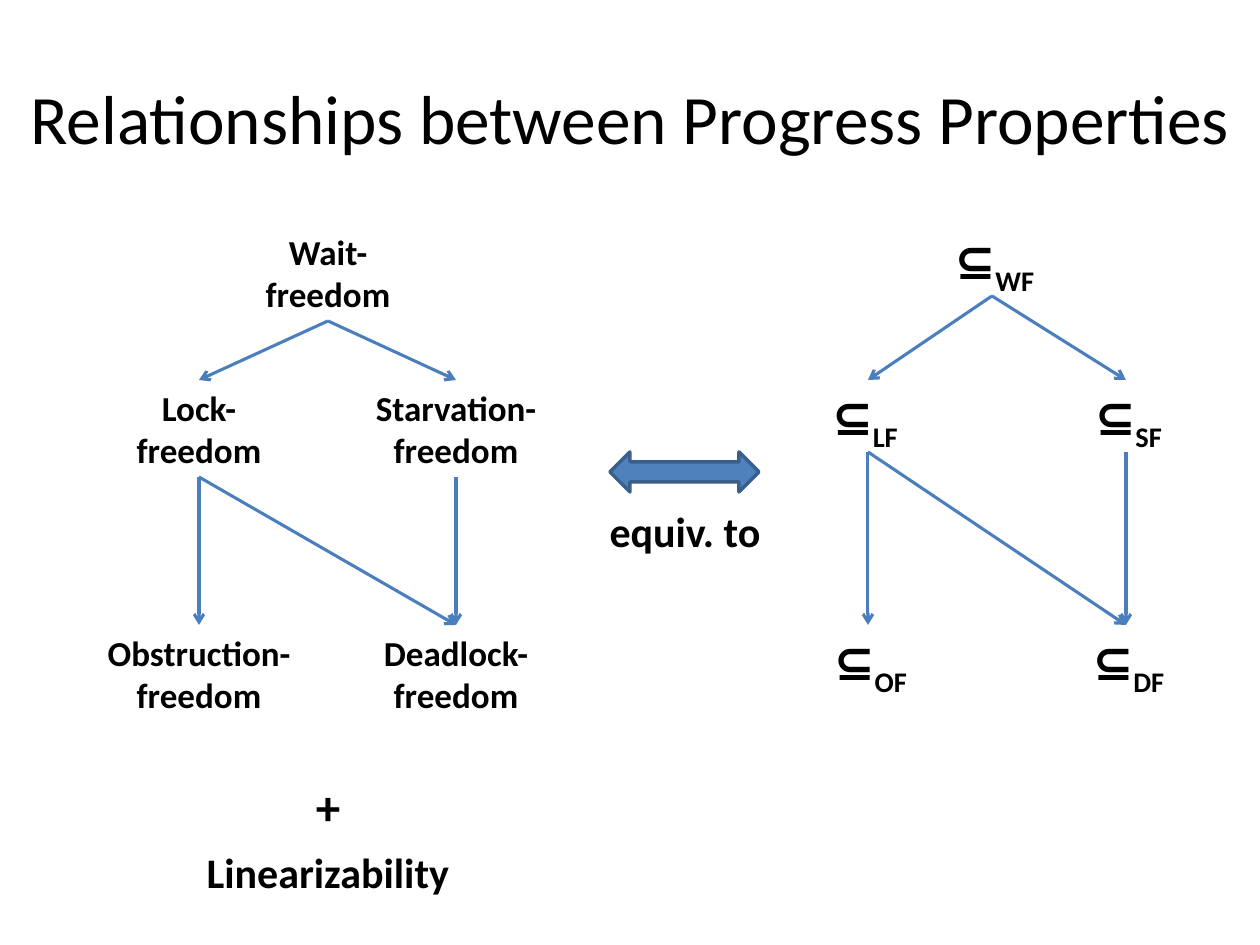
from lxml import etree
from pptx import Presentation
from pptx import util as u
from pptx.dml.color import RGBColor
from pptx.enum import shapes, text
from pptx.oxml import ns

EMU_PER_PIXEL = 914400 // 126
BLACK = RGBColor(0x00, 0x00, 0x00)
ARROW_BLUE = RGBColor(0x4B, 0x7E, 0xBC)
FILL_BLUE = RGBColor(0x4F, 0x81, 0xBD)
OUTLINE_BLUE = RGBColor(0x3A, 0x5F, 0x8C)
SUBSET = "\u2286"


def px(pixels):
    return u.Emu(round(pixels * EMU_PER_PIXEL))


def add_text(paragraph, content, size=20, bold=True, color=BLACK, font="Calibri", baseline=None):
    run = paragraph.add_run()
    run.text = content
    run.font.name = font
    run.font.size = u.Pt(size)
    run.font.bold = bold
    run.font.color.rgb = color
    if baseline is not None:
        run.font._element.set("baseline", str(baseline * 1000))


class SlideBuilder:
    def __init__(self, presentation):
        self.slide = presentation.slides.add_slide(presentation.slide_layouts[6])

    def label(self, center, top, width, height, content, subscript=None,
              anchor=text.MSO_ANCHOR.TOP, **style):
        """Centred text box, placed by its middle axis."""
        shape = self.slide.shapes.add_textbox(
            px(center - width / 2), px(top), px(width), px(height))
        frame = shape.text_frame
        frame.word_wrap = True
        frame.vertical_anchor = anchor
        paragraph = frame.paragraphs[0]
        paragraph.alignment = text.PP_ALIGN.CENTER
        add_text(paragraph, content, **style)
        if subscript:
            add_text(paragraph, subscript, baseline=-25, **style)

    def arrow(self, start, end):
        connector = self.slide.shapes.add_connector(
            shapes.MSO_CONNECTOR.STRAIGHT, *map(px, start + end))
        connector.line.color.rgb = ARROW_BLUE
        connector.line.width = u.Pt(1.75)
        line = connector.line._get_or_add_ln()
        etree.SubElement(line, ns.qn("a:tailEnd"), type="arrow")
        etree.SubElement(connector._element.spPr, ns.qn("a:effectLst"))

    def double_arrow(self, left, top, width, height):
        shape = self.slide.shapes.add_shape(
            shapes.MSO_SHAPE.LEFT_RIGHT_ARROW, px(left), px(top), px(width), px(height))
        shape.shadow.inherit = False
        shape.fill.solid()
        shape.fill.fore_color.rgb = FILL_BLUE
        shape.line.color.rgb = OUTLINE_BLUE
        shape.line.width = u.Pt(2)

    def hierarchy(self, columns, height, nodes, size):
        """Draw the nodes of one diagram and the implications between them."""
        for name, (width, content, subscript) in nodes.items():
            column, top = PLACES[name]
            self.label(columns[column], top, width, height, content, subscript, size=size)
        for source, target in IMPLICATIONS:
            start_column, start_top = PLACES[source]
            end_column, end_top = PLACES[target]
            self.arrow((columns[start_column], start_top + height),
                       (columns[end_column], end_top))


# Layout shared by both diagrams: column index and top of each node
PLACES = {"WF": (1, 224), "LF": (0, 380), "SF": (2, 380), "OF": (0, 625), "DF": (2, 625)}
IMPLICATIONS = [("WF", "LF"), ("WF", "SF"), ("LF", "OF"), ("SF", "DF"), ("LF", "DF")]

PROPERTIES = {
    "WF": (154, "Wait-freedom", None),
    "LF": (154, "Lock-freedom", None),
    "SF": (212, "Starvation-freedom", None),
    "OF": (227, "Obstruction-freedom", None),
    "DF": (203, "Deadlock-freedom", None),
}
REFINEMENT_WIDTHS = {"WF": 208, "LF": 160, "SF": 238, "OF": 179, "DF": 178}
REFINEMENTS = {
    name: (width, SUBSET if name == "LF" else " " + SUBSET, name + " ")
    for name, width in REFINEMENT_WIDTHS.items()
}

presentation = Presentation()
presentation.slide_width = u.Inches(10)
presentation.slide_height = u.Inches(7.5)
builder = SlideBuilder(presentation)

# Title
builder.label(630, 38, 1260, 157, "Relationships between Progress Properties",
              anchor=text.MSO_ANCHOR.MIDDLE, size=39.6, bold=False)

# Progress properties with linearizability
builder.hierarchy((199, 328, 456), 97, PROPERTIES, size=20)
builder.label(328, 770, 79, 72, "+", size=28)
builder.label(328, 840, 341, 63, "Linearizability", size=24)

# Equivalence
builder.double_arrow(610, 452, 149, 40)
builder.label(685, 499, 341, 63, "equiv. to", size=24)

# Refinement relations
builder.hierarchy((868, 992, 1126), 72, REFINEMENTS, size=28)

presentation.save("out.pptx")
